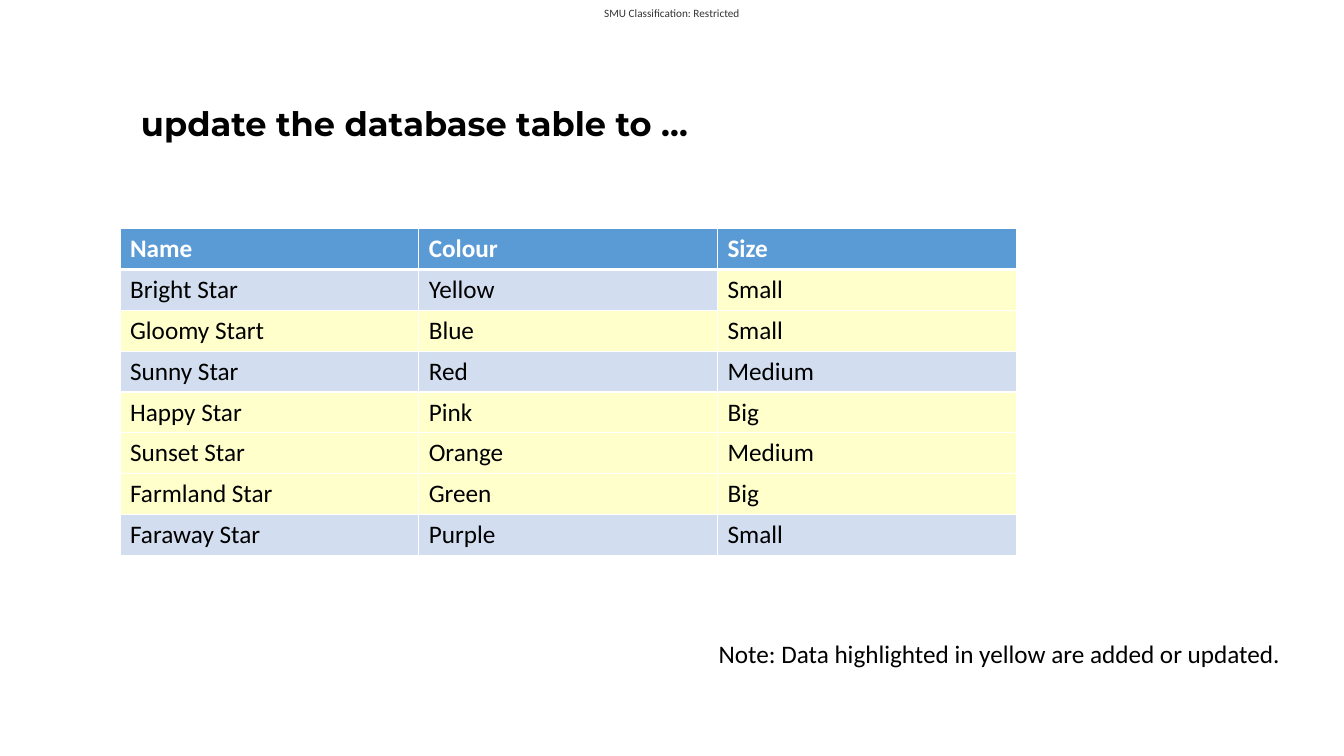
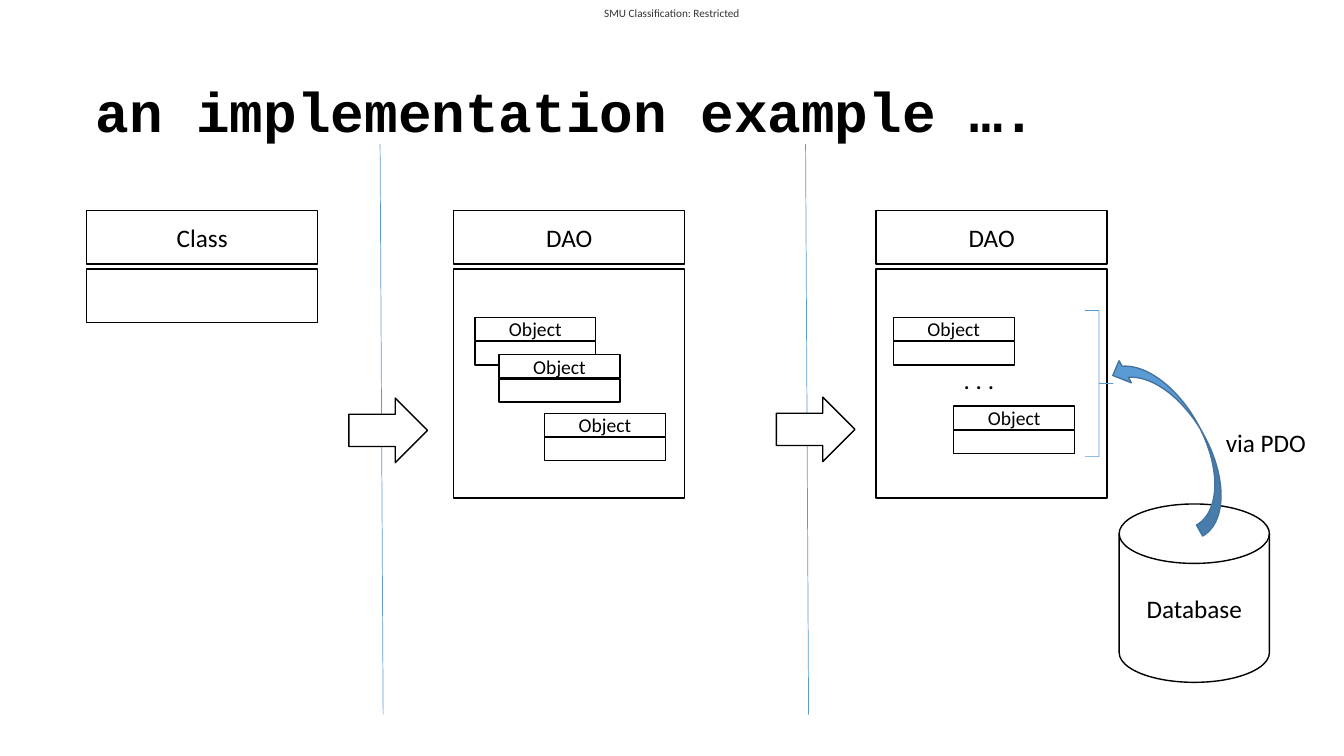
"""Build two slides on a database update and its class design."""
from lxml import etree
from pptx import Presentation
from pptx.dml.color import RGBColor
from pptx.enum.shapes import MSO_CONNECTOR, MSO_SHAPE
from pptx.enum.text import MSO_ANCHOR, PP_ALIGN
from pptx.oxml.ns import qn
from pptx.util import Inches, Pt

RECT = MSO_SHAPE.RECTANGLE
ARROW = MSO_SHAPE.RIGHT_ARROW
DISK = MSO_SHAPE.FLOWCHART_MAGNETIC_DISK
BRACE = MSO_SHAPE.RIGHT_BRACE
CURVE = MSO_SHAPE.CURVED_RIGHT_ARROW
LINE = MSO_CONNECTOR.STRAIGHT
MIDDLE = MSO_ANCHOR.MIDDLE
LEFT, CENTER = PP_ALIGN.LEFT, PP_ALIGN.CENTER


class Theme:
    black = RGBColor.from_string("000000")
    white = RGBColor.from_string("FFFFFF")
    grey = RGBColor.from_string("333333")
    blue = RGBColor.from_string("5B9BD5")
    navy = RGBColor.from_string("43739E")
    pale = RGBColor.from_string("D2DEEF")
    yellow = RGBColor.from_string("FFFFCC")
    font = "Calibri"
    tiny, small, body, head, big = Pt(8), Pt(14), Pt(18), Pt(24), Pt(40)
    thin, line = Pt(0.5), Pt(1)


def write(frame, text, size=Theme.body, color=Theme.black, bold=False,
          font=Theme.font, align=LEFT):
    """Fill a text frame with one styled paragraph."""
    par = frame.paragraphs[0]
    par.text = text
    par.alignment = align
    par.font.size, par.font.bold, par.font.name = size, bold, font
    par.font.color.rgb = color


def box(slide, kind, at, text="", size=Theme.body, fill=Theme.white, edge=Theme.black):
    """Add an outlined shape with centred text."""
    shape = slide.shapes.add_shape(kind, *map(Inches, at))
    shape.shadow.inherit = False
    shape.fill.solid()
    shape.fill.fore_color.rgb = fill
    shape.line.color.rgb = edge
    shape.line.width = Theme.line
    if text:
        shape.text_frame.vertical_anchor = MIDDLE
        write(shape.text_frame, text, size, align=CENTER)
    return shape


deck = Presentation()
deck.slide_width, deck.slide_height = Inches(13.33), Inches(7.5)

titles = [
    ("update the database table to …", (1.3, 0.52, 10.49, 1.45), Theme.head, "Montserrat"),
    ("an implementation example ….", (0.85, 0.41, 11.38, 1.45), Theme.big, "Courier New"),
]
for text, at, size, font in titles:
    slide = deck.slides.add_slide(deck.slide_layouts[6])
    frame = slide.shapes.add_textbox(*map(Inches, (5.85, 0, 1.63, 0.25))).text_frame
    frame.vertical_anchor = MIDDLE
    frame.margin_left = frame.margin_right = frame.margin_top = frame.margin_bottom = 0
    write(frame, "SMU Classification: Restricted", Theme.tiny, Theme.grey, align=CENTER)
    frame = slide.shapes.add_textbox(*map(Inches, at)).text_frame
    frame.word_wrap = True
    frame.vertical_anchor = MIDDLE
    write(frame, text, size, bold=True, font=font)
    frame.paragraphs[0].line_spacing = 0.9
data, design = deck.slides

stars = [
    ("Name", "Colour", "Size"),
    ("Bright Star", "Yellow", "Small"),
    ("Gloomy Start", "Blue", "Small"),
    ("Sunny Star", "Red", "Medium"),
    ("Happy Star", "Pink", "Big"),
    ("Sunset Star", "Orange", "Medium"),
    ("Farmland Star", "Green", "Big"),
    ("Faraway Star", "Purple", "Small"),
]
fresh = {(1, 2)} | {(row, col) for row in (2, 4, 5, 6) for col in range(3)}
grid = data.shapes.add_table(len(stars), 3, *map(Inches, (1.19, 2.27, 8.89, 3.24))).table
for row, values in enumerate(stars):
    for col, value in enumerate(values):
        cell = grid.cell(row, col)
        top = row == 0
        write(cell.text_frame, value, color=Theme.white if top else Theme.black, bold=top)
        props = cell._tc.get_or_add_tcPr()
        for side in ("lnL", "lnR", "lnT", "lnB"):
            thick = (row, side) in ((0, "lnB"), (1, "lnT"))
            edge = etree.SubElement(props, qn("a:" + side), w=str(Pt(3 if thick else 1)))
            paint = etree.SubElement(edge, qn("a:solidFill"))
            etree.SubElement(paint, qn("a:srgbClr"), val=str(Theme.white))
        cell.fill.solid()
        shade = Theme.yellow if (row, col) in fresh else Theme.pale
        cell.fill.fore_color.rgb = Theme.blue if top else shade

note = data.shapes.add_textbox(*map(Inches, (7.03, 6.28, 5.84, 0.4)))
write(note.text_frame, "Note: Data highlighted in yellow are added or updated.")

for left, name, height in ((0.86, "Class", 0.53), (4.5, "DAO", 2.27), (8.69, "DAO", 2.27)):
    box(design, RECT, (left, 2.09, 2.29, 0.53), name)
    box(design, RECT, (left, 2.67, 2.29, height))

for left in (3.77, 7.99):
    rule = design.shapes.add_connector(LINE, *map(Inches, (left, 1.43, left + 0.03, 7.09)))
    rule.line.color.rgb = Theme.blue
    rule.line.width = Theme.thin
    etree.SubElement(rule._element.spPr, qn("a:effectLst"))

for left, top in ((4.71, 3.15), (4.95, 3.52), (5.4, 4.1), (8.86, 3.15), (9.46, 4.03)):
    box(design, RECT, (left, top, 1.2, 0.23), "Object", Theme.small)
    box(design, RECT, (left, top + 0.24, 1.2, 0.23))

for left, top in ((3.46, 3.95), (7.7, 3.94)):
    box(design, ARROW, (left, top, 0.78, 0.64))

box(design, DISK, (11.1, 5, 1.49, 1.77), "Database")
brace = box(design, BRACE, (10.76, 3.08, 0.28, 1.45), edge=Theme.blue)
brace.fill.background()
brace.line.width = Theme.thin
brace.adjustments[0], brace.adjustments[1] = 0, 0.5
curve = box(design, CURVE, (11.42, 3.37, 0.5, 1.95), fill=Theme.blue, edge=Theme.navy)
curve.rotation = 150.8

for text, at in ((". . .", (9.46, 3.57, 0.56, 0.4)), ("via PDO", (12.06, 4.19, 1, 0.4))):
    write(design.shapes.add_textbox(*map(Inches, at)).text_frame, text)

deck.save("out.pptx")
